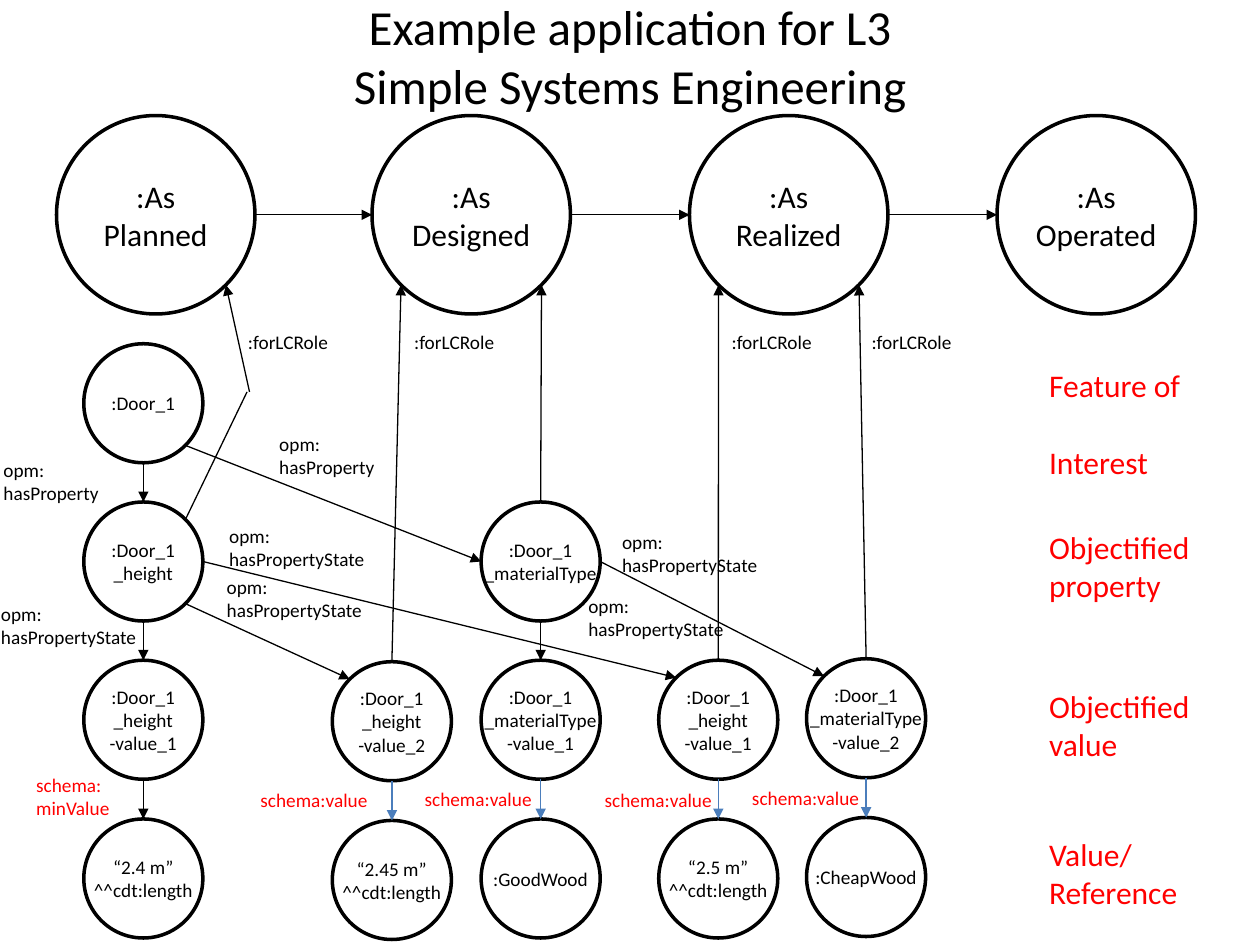
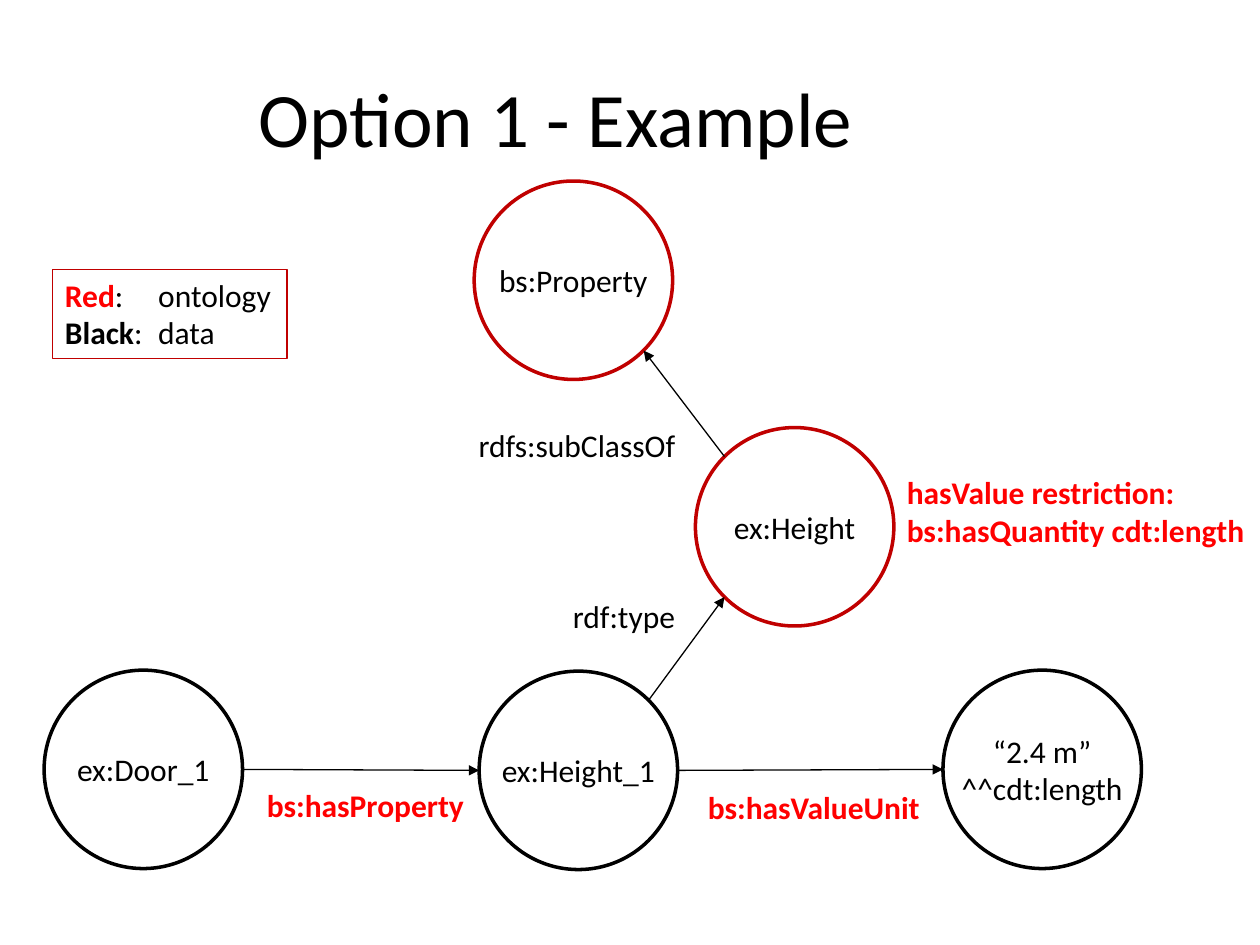
from pptx import Presentation
from pptx.dml.color import RGBColor
from pptx.enum.shapes import MSO_CONNECTOR, MSO_SHAPE
from pptx.enum.text import MSO_ANCHOR, MSO_AUTO_SIZE, PP_ALIGN
from pptx.oxml.ns import qn
from pptx.util import Cm, Pt
from lxml.etree import SubElement

BLACK = RGBColor(0x00, 0x00, 0x00)
WHITE = RGBColor(0xFF, 0xFF, 0xFF)
RED = RGBColor(0xFF, 0x00, 0x00)
DARK_RED = RGBColor(0xC0, 0x00, 0x00)
BLUE = RGBColor(0x4B, 0x7E, 0xBC)
FONT = "Calibri"
LARGE, SMALL = 4.0, 2.4  # circle diameters in cm
LABEL_HEIGHTS = {11: (0.74, 1.19), 18: (1.02, 1.8)}  # one line, two lines

# Connection points as fractions of a circle's box
NEAR, FAR = 0.146, 0.854
SITES = {
    "top": (0.5, 0), "left": (0, 0.5), "bottom": (0.5, 1), "right": (1, 0.5),
    "top left": (NEAR, NEAR), "top right": (FAR, NEAR),
    "bottom left": (NEAR, FAR), "bottom right": (FAR, FAR),
}

# ---- Slide 1 content ----
SYSTEMS_TITLE = "Example application for L3\vSimple Systems Engineering"
ROLES_TOP = 2.33
ROLES = [("Planned", 1.14), ("Designed", 7.5), ("Realized", 13.9), ("Operated", 20.1)]

ROW_TOPS = {"feature": 6.93, "property": 10.12, "value": 13.31, "literal": 16.51}
# column: (left, vertical nudge, {row: text})
DOOR_COLUMNS = {
    "height 1": (1.69, 0, {
        "feature": ":Door_1",
        "property": ":Door_1\n_height",
        "value": ":Door_1\n_height\n-value_1",
        "literal": "“2.4 m”\n^^cdt:length"}),
    "height 2": (6.7, 0.03, {
        "value": ":Door_1\n_height\n-value_2",
        "literal": "“2.45 m”\n^^cdt:length"}),
    "material 1": (9.7, 0, {
        "property": ":Door_1\n_materialType",
        "value": ":Door_1\n_materialType\n-value_1",
        "literal": ":GoodWood"}),
    "height 3": (13.28, 0, {
        "value": ":Door_1\n_height\n-value_1",
        "literal": "“2.5 m”\n^^cdt:length"}),
    "material 2": (16.26, -0.03, {
        "value": ":Door_1\n_materialType\n-value_2",
        "literal": ":CheapWood"}),
}
# (column, row, site) to (column, row, site)
PROPERTY_ARROWS = [
    (("height 1", "feature", "bottom"), ("height 1", "property", "top")),
    (("height 1", "feature", "bottom right"), ("material 1", "property", "left")),
    (("height 1", "property", "bottom"), ("height 1", "value", "top")),
    (("height 1", "property", "bottom right"), ("height 2", "value", "top left")),
    (("height 1", "property", "right"), ("height 3", "value", "top left")),
    (("material 1", "property", "bottom"), ("material 1", "value", "top")),
    (("material 1", "property", "right"), ("material 2", "value", "top left")),
]
# (column, row) up to (role, site)
ROLE_ARROWS = [
    ("height 2", "value", "Designed", "bottom left"),
    ("material 1", "property", "Designed", "bottom right"),
    ("height 3", "value", "Realized", "bottom left"),
    ("material 2", "value", "Realized", "bottom right"),
]
ROLE_BENDS = ((4.98, 7.9), (5.03, 7.9))

# text: (width, colour, [(left, top), ...])
RELATION_LABELS = {
    ":forLCRole": (2.16, BLACK, [(4.75, 6.53), (8.1, 6.53), (14.5, 6.53), (17.32, 6.53)]),
    "opm:\nhasProperty": (2.44, BLACK, [(-0.18, 9.12), (5.38, 8.59)]),
    "opm:\nhasPropertyState": (3.28, BLACK, [
        (4.37, 10.44), (4.32, 11.48), (11.61, 11.86), (12.29, 10.57), (-0.23, 12.01)]),
    "schema:\nminValue": (2.01, RED, [(0.48, 15.47)]),
    "schema:value": (2.69, RED, [(5.0, 15.77), (8.31, 15.75), (11.94, 15.77), (14.91, 15.72)]),
}
LEVELS_LEFT, LEVELS_WIDTH = 20.9, 3.38
LEVELS = [("Feature of\nInterest", 7.26), ("Objectified\nproperty", 10.52),
          ("Objectified\nvalue", 13.72), ("Value/\nReference", 16.71)]

# ---- Slide 2 content ----
OPTION_TITLE = "Option 1 - Example"
OPTION_CIRCLES = {
    "door": ("ex:Door_1", 0.89, 13.51, BLACK),
    "height": ("ex:Height_1", 9.66, 13.53, BLACK),
    "length": ("“2.4 m”\n^^cdt:length", 19.01, 13.51, BLACK),
    "property class": ("bs:Property", 9.56, 3.65, DARK_RED),
    "height class": ("ex:Height", 14.02, 8.62, DARK_RED),
}
OPTION_ARROWS = [
    ("door", "right", "height", "left"),
    ("height", "right", "length", "left"),
    ("height", "top right", "height class", "bottom left"),
    ("height class", "top left", "property class", "bottom right"),
]
# text, left, top, width, colour, bold
OPTION_LABELS = [
    ("bs:hasProperty", 5.13, 15.72, 4.52, RED, True),
    ("bs:hasValueUnit", 14.02, 15.77, 4.83, RED, True),
    ("rdf:type", 11.3, 11.91, 2.59, BLACK, False),
    ("rdfs:subClassOf", 9.4, 8.46, 4.52, BLACK, False),
    ("hasValue restriction:\nbs:hasQuantity cdt:length", 18.03, 9.42, 7.39, RED, True),
]
LEGEND = [("Red", RED, "ontology"), ("Black", BLACK, "data")]
LEGEND_TAB = 1.88


def style_span(span, size, color=BLACK, bold=False):
    span.font.name = FONT
    span.font.size = Pt(size)
    span.font.color.rgb = color
    span.font.bold = bold


def write(frame, text, size, color=BLACK, bold=False, align=PP_ALIGN.LEFT):
    frame.text = text
    for para in frame.paragraphs:
        para.alignment = align
        for span in para.runs:
            style_span(span, size, color, bold)


def add_page(deck, title, left, top, width, size):
    page = deck.slides.add_slide(deck.slide_layouts[5])
    box = page.shapes.title
    box.left, box.top, box.width, box.height = Cm(left), Cm(top), Cm(width), Cm(3.18)
    write(box.text_frame, title, size, align=PP_ALIGN.CENTER)
    box.text_frame.vertical_anchor = MSO_ANCHOR.MIDDLE
    box.text_frame.auto_size = MSO_AUTO_SIZE.NONE
    return page


def add_circle(page, text, left, top, diameter, size, outline=BLACK):
    circle = page.shapes.add_shape(
        MSO_SHAPE.OVAL, Cm(left), Cm(top), Cm(diameter), Cm(diameter))
    circle.shadow.inherit = False
    circle.fill.solid()
    circle.fill.fore_color.rgb = WHITE
    circle.line.color.rgb = outline
    circle.line.width = Pt(2)
    circle.text_frame.word_wrap = False
    circle.text_frame.vertical_anchor = MSO_ANCHOR.MIDDLE
    write(circle.text_frame, text, size, align=PP_ALIGN.CENTER)
    return circle


def add_label(page, text, left, top, width, size, color=BLACK, bold=False):
    height = LABEL_HEIGHTS[size][text.count("\n")]
    box = page.shapes.add_textbox(Cm(left), Cm(top), Cm(width), Cm(height))
    box.text_frame.word_wrap = False
    box.text_frame.auto_size = MSO_AUTO_SIZE.SHAPE_TO_FIT_TEXT
    write(box.text_frame, text, size, color, bold)
    return box


def site(circle, name):
    across, down = SITES[name]
    return (round(circle.left + across * circle.width),
            round(circle.top + down * circle.height))


def add_line(page, start, end, color=BLACK, arrow=True):
    line = page.shapes.add_connector(MSO_CONNECTOR.STRAIGHT, *start, *end)
    line.line.color.rgb = color
    line.line.width = Pt(0.75)
    properties = line._element.spPr
    if arrow:
        SubElement(properties.find(qn("a:ln")), qn("a:tailEnd"), type="triangle")
    SubElement(properties, qn("a:effectLst"))


def add_legend(page):
    box = page.shapes.add_shape(MSO_SHAPE.RECTANGLE, Cm(1.06), Cm(5.43), Cm(4.73), Cm(1.8))
    box.shadow.inherit = False
    box.fill.background()
    box.line.color.rgb = DARK_RED
    box.line.width = Pt(0.75)
    frame = box.text_frame
    frame.word_wrap = False
    frame.vertical_anchor = MSO_ANCHOR.TOP
    for index, (name, color, meaning) in enumerate(LEGEND):
        para = frame.add_paragraph() if index else frame.paragraphs[0]
        para.alignment = PP_ALIGN.LEFT
        for text, tint, bold in ((name, color, True), (":\t" + meaning, BLACK, False)):
            span = para.add_run()
            span.text = text
            style_span(span, 18, tint, bold)
        tabs = SubElement(para._p.get_or_add_pPr(), qn("a:tabLst"))
        SubElement(tabs, qn("a:tab"), pos=str(Cm(LEGEND_TAB)), algn="l")


def build_systems_page(deck):
    page = add_page(deck, SYSTEMS_TITLE, 0.71, -0.48, 23.98, 28)

    # Life-cycle roles, chained from left to right
    roles = {name: add_circle(page, ":As\n" + name, left, ROLES_TOP, LARGE, 18)
             for name, left in ROLES}
    chain = list(roles.values())
    for before, after in zip(chain, chain[1:]):
        add_line(page, site(before, "right"), site(after, "left"))

    # Door, its properties, their values and literals
    nodes = {}
    for column, (left, nudge, rows) in DOOR_COLUMNS.items():
        for row, text in rows.items():
            nodes[column, row] = add_circle(
                page, text, left, ROW_TOPS[row] + nudge, SMALL, 11)

    # Arrows
    for (*source, leave), (*target, enter) in PROPERTY_ARROWS:
        add_line(page, site(nodes[tuple(source)], leave), site(nodes[tuple(target)], enter))
    for column in DOOR_COLUMNS:
        add_line(page, site(nodes[column, "value"], "bottom"),
                 site(nodes[column, "literal"], "top"),
                 BLACK if column == "height 1" else BLUE)
    for column, row, role, enter in ROLE_ARROWS:
        add_line(page, site(nodes[column, row], "top"), site(roles[role], enter))
    lower_bend, upper_bend = [(Cm(x), Cm(y)) for x, y in ROLE_BENDS]
    add_line(page, site(nodes["height 1", "property"], "top right"), lower_bend, arrow=False)
    add_line(page, upper_bend, site(roles["Planned"], "bottom right"))

    # Labels
    for text, (width, color, places) in RELATION_LABELS.items():
        for left, top in places:
            add_label(page, text, left, top, width, 11, color)
    levels = [add_label(page, text, LEVELS_LEFT, top, LEVELS_WIDTH, 18, RED)
              for text, top in LEVELS]
    levels[0].text_frame.paragraphs[0].space_after = Pt(22)


def build_option_page(deck):
    page = add_page(deck, OPTION_TITLE, -0.23, 0.76, 22.86, 44)
    circles = {name: add_circle(page, text, left, top, LARGE, 18, outline)
               for name, (text, left, top, outline) in OPTION_CIRCLES.items()}
    for source, leave, target, enter in OPTION_ARROWS:
        add_line(page, site(circles[source], leave), site(circles[target], enter))
    for text, left, top, width, color, bold in OPTION_LABELS:
        add_label(page, text, left, top, width, 18, color, bold)
    add_legend(page)


def main():
    deck = Presentation()
    deck.slide_width, deck.slide_height = Cm(25.4), Cm(19.05)
    build_systems_page(deck)
    build_option_page(deck)
    deck.save("out.pptx")


if __name__ == "__main__":
    main()
